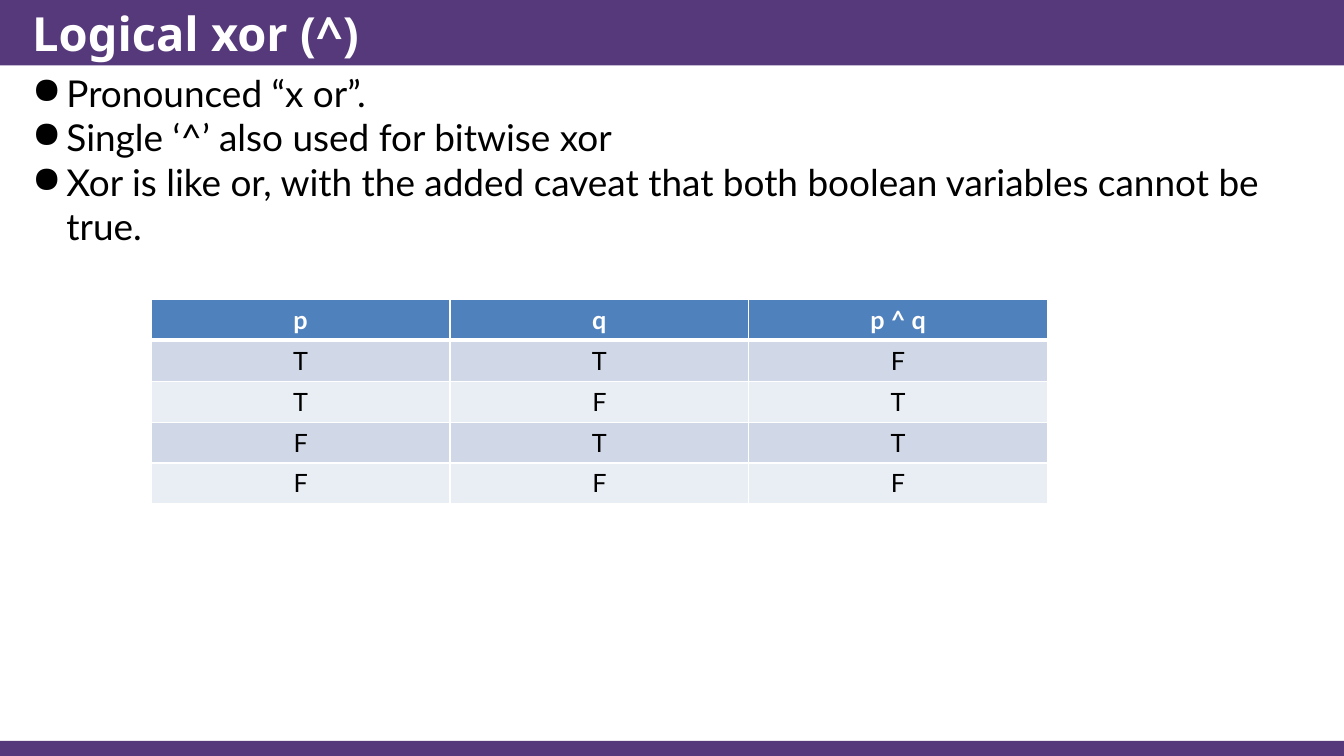
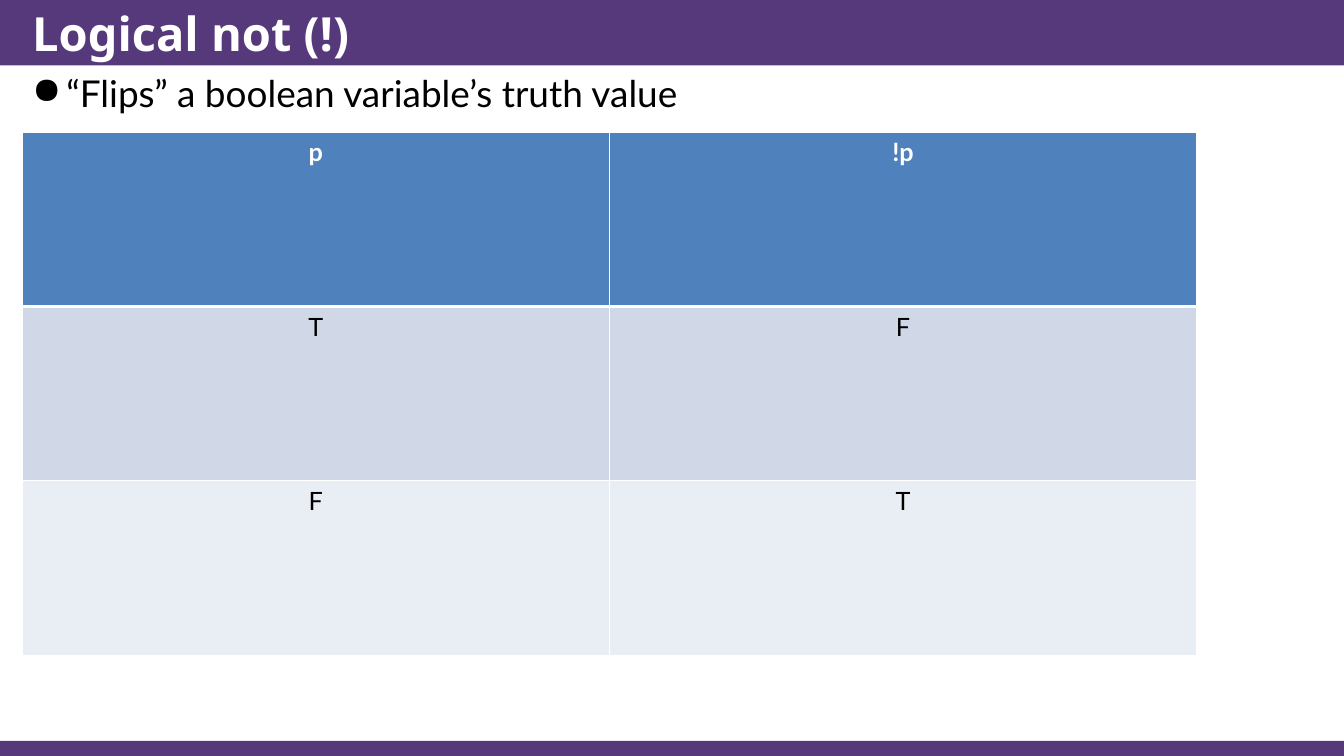
from dataclasses import dataclass

from lxml.etree import SubElement
from pptx import Presentation
from pptx.dml.color import RGBColor
from pptx.enum.shapes import MSO_SHAPE
from pptx.enum.text import MSO_ANCHOR, PP_ALIGN
from pptx.oxml.ns import qn
from pptx.util import Inches, Pt


@dataclass(frozen=True)
class Theme:
    band: str = "56397B"
    header: str = "4F81BD"
    stripes: tuple = ("D0D8E8", "E9EDF4")
    light: str = "FFFFFF"
    dark: str = "000000"
    title_font: str = "Noto Sans"
    body_font: str = "Lato"
    title_size: float = 33.6
    body_size: float = 26.4
    table_size: float = 18


THEME = Theme()
WIDTH, HEIGHT = 13.33, 7.5
TITLE_HEIGHT, FOOTER_HEIGHT = 0.65, 0.15
MARGIN = 0.22
BULLET_INDENT = 0.34

TITLE_STYLE = {"name": THEME.title_font, "size": Pt(THEME.title_size), "bold": True}
BODY_STYLE = {"name": THEME.body_font, "size": Pt(THEME.body_size), "bold": False}
HEADER_STYLE = {"name": THEME.body_font, "size": Pt(THEME.table_size), "bold": True}
CELL_STYLE = HEADER_STYLE | {"bold": False}


def write(para, text, style, color):
    span = para.add_run()
    span.text = text
    for name, value in style.items():
        setattr(span.font, name, value)
    span.font.color.rgb = RGBColor.from_string(color)


def add_band(page, box):
    band = page.shapes.add_shape(MSO_SHAPE.RECTANGLE, *map(Inches, box))
    band.shadow.inherit = False
    band.fill.solid()
    band.fill.fore_color.rgb = RGBColor.from_string(THEME.band)
    band.line.fill.background()


def add_text_frame(page, box, anchor):
    frame = page.shapes.add_textbox(*map(Inches, box)).text_frame
    frame.word_wrap = True
    frame.vertical_anchor = anchor
    return frame


def add_title(page, box, text):
    frame = add_text_frame(page, box, MSO_ANCHOR.MIDDLE)
    write(frame.paragraphs[0], text, TITLE_STYLE, THEME.light)


def add_bullets(page, box, lines):
    frame = add_text_frame(page, box, MSO_ANCHOR.TOP)
    for index, line in enumerate(lines):
        para = frame.add_paragraph() if index else frame.paragraphs[0]
        write(para, line, BODY_STYLE, THEME.dark)
        properties = para._p.get_or_add_pPr()
        properties.set("marL", str(Inches(BULLET_INDENT)))
        properties.set("indent", str(-Inches(BULLET_INDENT)))
        SubElement(properties, qn("a:buChar"), char="●")


def add_borders(cell, row):
    """White grid with a heavier rule below the header row."""
    widths = {"L": 1, "R": 1, "T": 3 if row == 1 else 1, "B": 3 if row == 0 else 1}
    for side, width in widths.items():
        line = SubElement(cell._tc.get_or_add_tcPr(), qn(f"a:ln{side}"), w=str(Pt(width)))
        fill = SubElement(line, qn("a:solidFill"))
        SubElement(fill, qn("a:srgbClr"), val=THEME.light)


def add_truth_table(page, box, rows):
    columns = len(rows[0])
    table = page.shapes.add_table(len(rows), columns, *map(Inches, box)).table
    for column in table.columns:
        column.width = Inches(box[2] / columns)
    for row, values in enumerate(rows):
        table.rows[row].height = Inches(box[3] / len(rows))
        for column, value in enumerate(values):
            cell = table.cell(row, column)
            add_borders(cell, row)
            cell.fill.solid()
            color = THEME.stripes[(row - 1) % 2] if row else THEME.header
            cell.fill.fore_color.rgb = RGBColor.from_string(color)
            para = cell.text_frame.paragraphs[0]
            para.alignment = PP_ALIGN.CENTER
            if row:
                write(para, value, CELL_STYLE, THEME.dark)
            else:
                write(para, value, HEADER_STYLE, THEME.light)


def add_operator_slide(deck, title, lines, table_box, rows):
    page = deck.slides.add_slide(deck.slide_layouts[6])
    # Bands
    add_band(page, (0, HEIGHT - FOOTER_HEIGHT, WIDTH, FOOTER_HEIGHT))
    add_band(page, (0, 0, WIDTH, TITLE_HEIGHT))
    # Title and bullets
    add_title(page, (MARGIN, 0, WIDTH - MARGIN, TITLE_HEIGHT), title)
    add_bullets(page, (MARGIN, TITLE_HEIGHT, WIDTH - MARGIN, 6.3), lines)
    # Truth table
    add_truth_table(page, table_box, rows)


deck = Presentation()
deck.slide_width, deck.slide_height = Inches(WIDTH), Inches(HEIGHT)

add_operator_slide(
    deck,
    "Logical xor (^)",
    [
        "Pronounced “x or”.",
        "Single ‘^’ also used for bitwise xor",
        "Xor is like or, with the added caveat that both boolean variables cannot be true.",
    ],
    (1.5, 2.97, 8.89, 2.03),
    [("p", "q", "p ^ q"), "TTF", "TFT", "FTT", "FFF"],
)
add_operator_slide(
    deck,
    "Logical not (!)",
    ["“Flips” a boolean variable’s truth value"],
    (MARGIN, 1.31, 11.65, 5.19),
    [("p", "!p"), "TF", "FT"],
)

deck.save("out.pptx")
